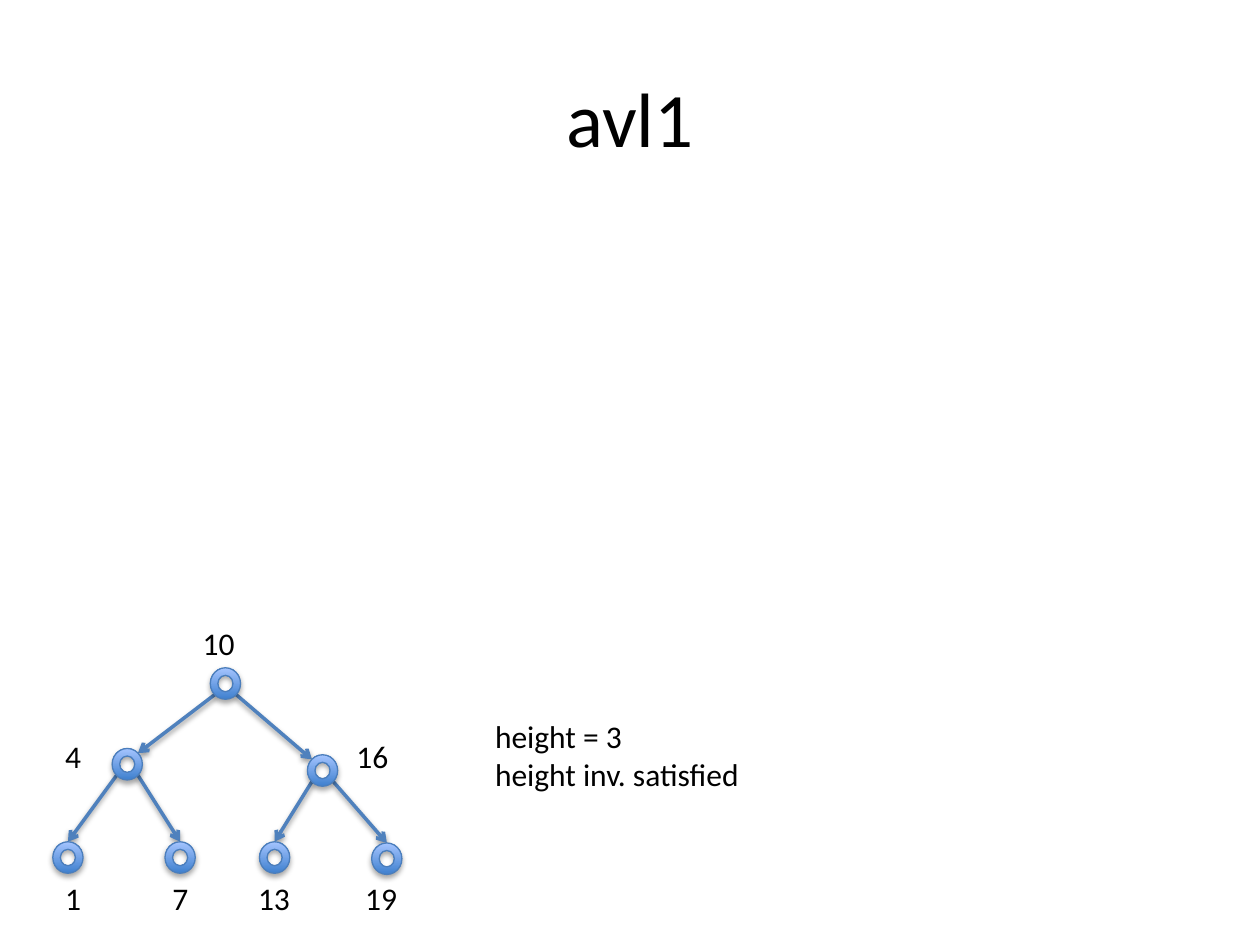
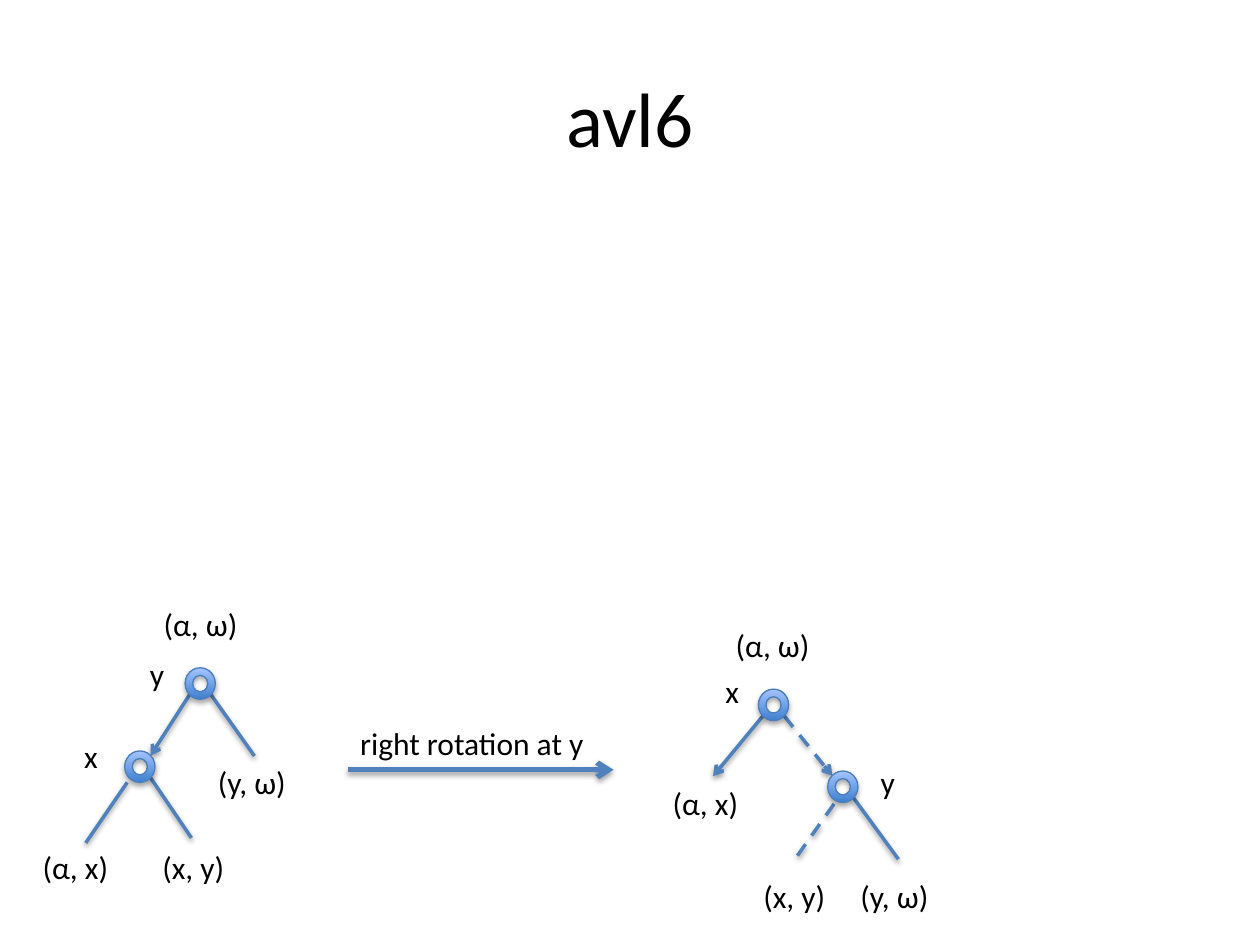
"""Build two slides of AVL tree diagrams."""
from dataclasses import dataclass

from lxml import etree
from pptx import Presentation
from pptx.dml.color import RGBColor
from pptx.enum.dml import MSO_LINE_DASH_STYLE as Dash
from pptx.enum.shapes import MSO_CONNECTOR as Link, MSO_SHAPE as Form
from pptx.enum.text import MSO_ANCHOR as Anchor, PP_ALIGN as Align
from pptx.oxml.ns import qn
from pptx.util import Pt


@dataclass(frozen=True)
class Theme:
    font: str = "Calibri"
    ink: str = "000000"
    edge: str = "4F81BD"
    rim: str = "4B7EBC"
    low: str = "3F80CE"
    high: str = "A4C4FF"
    head: float = 44
    body: float = 18
    thin: float = 0.75
    thick: float = 2
    bold: float = 3


THEME = Theme()
WIDE, TALL = 17.3, 18
SITES = {"top": (0.5, 0), "tl": (0.15, 0.15), "tr": (0.85, 0.15),
         "bl": (0.15, 0.85), "br": (0.85, 0.85)}

SLIDES = [
    {
        "title": "avl1",
        "nodes": [(120.2, 381.6), (64.1, 427.7), (175.7, 431.3), (30.2, 481),
                  (94.3, 481), (148.3, 481), (212.4, 481.7)],
        "edges": [((0, "bl"), (1, "tr"), "arrow"),
                  ((0, "br"), (2, "tl"), "arrow"),
                  ((1, "bl"), (3, "top"), "arrow"),
                  ((1, "br"), (4, "top"), "arrow"),
                  ((2, "bl"), (5, "top"), "arrow"),
                  ((2, "br"), (6, "top"), "arrow")],
        "labels": [("10", 108.7, 352.8, 33), ("4", 30.2, 417.6, 24),
                   ("16", 196.6, 417.6, 33), ("1", 30.2, 499, 24),
                   ("7", 91.4, 499, 24), ("13", 140.4, 499, 33),
                   ("19", 201.6, 499, 33),
                   ("height = 3\nheight inv. satisfied", 275.8, 406, 155.5)],
    },
    {
        "title": "avl6",
        "nodes": [(105.8, 381.6), (71.3, 429.1), (433.4, 393.8), (473, 440.6)],
        "edges": [((0, "bl"), (1, "tr"), "arrow"),
                  ((0, "br"), (145.4, 432), ""),
                  ((72.7, 447.1), (49, 481.7), ""),
                  ((1, "br"), (109.4, 478.8), ""),
                  ((2, "bl"), (407.5, 443.5), "arrow"),
                  ((2, "br"), (3, "tl"), "arrow dash"),
                  ((476.6, 459.4), (452.2, 493.9), "dash"),
                  ((3, "br"), (513.4, 491), ""),
                  ((198.7, 439.9), (350.6, 439.9), "arrow bold")],
        "labels": [("(α, ω)", 86.4, 342, 57), ("y", 78.5, 370.8, 23),
                   ("x", 41, 417.6, 22), ("(y, ω)", 117.4, 432.7, 55.4),
                   ("(α, x)", 17.3, 481, 52.6), ("(x, y)", 85.7, 481, 50.4),
                   ("right rotation at y", 198.7, 410.4, 144),
                   ("(α, ω)", 413.3, 354.2, 57), ("x", 407.5, 380.2, 22),
                   ("y", 496.1, 432.7, 23), ("(α, x)", 377.3, 444.2, 52.6),
                   ("(x, y)", 429.1, 497.5, 50.4),
                   ("(y, ω)", 484.6, 497.5, 55.4)],
    },
]


def tint(code):
    return RGBColor.from_string(code)


def shade(shape, dist, alpha):
    props = shape._element.spPr
    for old in props.findall(qn("a:effectLst")):
        props.remove(old)
    fx = etree.SubElement(props, qn("a:effectLst"))
    cast = etree.SubElement(fx, qn("a:outerShdw"), blurRad=str(Pt(3.1)),
                            dist=str(Pt(dist)), dir="5400000",
                            rotWithShape="0")
    hue = etree.SubElement(cast, qn("a:srgbClr"), val=THEME.ink)
    etree.SubElement(hue, qn("a:alpha"), val=str(alpha * 1000))


def write(slide, text, spot, size, align=Align.LEFT, wrap=False):
    box = slide.shapes.add_textbox(*map(Pt, spot))
    frame = box.text_frame
    frame.word_wrap = wrap
    frame.text = text
    if wrap:
        frame.vertical_anchor = Anchor.MIDDLE
    for para in frame.paragraphs:
        para.alignment = align
        for run in para.runs:
            run.font.name = THEME.font
            run.font.size = Pt(size)
            run.font.color.rgb = tint(THEME.ink)


def place(end, nodes):
    first, second = end
    if not isinstance(second, str):
        return end
    x, y = nodes[first]
    fx, fy = SITES[second]
    return x + fx * WIDE, y + fy * TALL


def join(slide, start, stop, style):
    line = slide.shapes.add_connector(Link.STRAIGHT, *map(Pt, start + stop))
    line.line.color.rgb = tint(THEME.edge)
    line.line.width = Pt(THEME.bold if "bold" in style else THEME.thick)
    if "dash" in style:
        line.line.dash_style = Dash.DASH
    if "arrow" in style:
        stroke = line._element.spPr.find(qn("a:ln"))
        etree.SubElement(stroke, qn("a:tailEnd"), type="arrow")
    shade(line, 1.6, 38)


def ring(slide, x, y):
    node = slide.shapes.add_shape(Form.DONUT, *map(Pt, (x, y, WIDE, TALL)))
    node.fill.gradient()
    node.fill.gradient_angle = 90
    for stop, code in zip(node.fill.gradient_stops, (THEME.low, THEME.high)):
        stop.color.rgb = tint(code)
    node.line.color.rgb = tint(THEME.rim)
    node.line.width = Pt(THEME.thin)
    shade(node, 1.8, 35)


def draw(deck, data):
    slide = deck.slides.add_slide(deck.slide_layouts[6])
    nodes = data["nodes"]
    for start, stop, style in data["edges"]:
        join(slide, place(start, nodes), place(stop, nodes), style)
    for x, y in nodes:
        ring(slide, x, y)
    for text, x, y, width in data["labels"]:
        high = 29 + 22 * text.count("\n")
        write(slide, text, (x, y, width, high), THEME.body)
    write(slide, data["title"], (36, 21.6, 648, 90), THEME.head,
          Align.CENTER, True)


def main():
    deck = Presentation()
    deck.slide_width, deck.slide_height = Pt(720), Pt(540)
    for data in SLIDES:
        draw(deck, data)
    deck.save("out.pptx")


if __name__ == "__main__":
    main()
